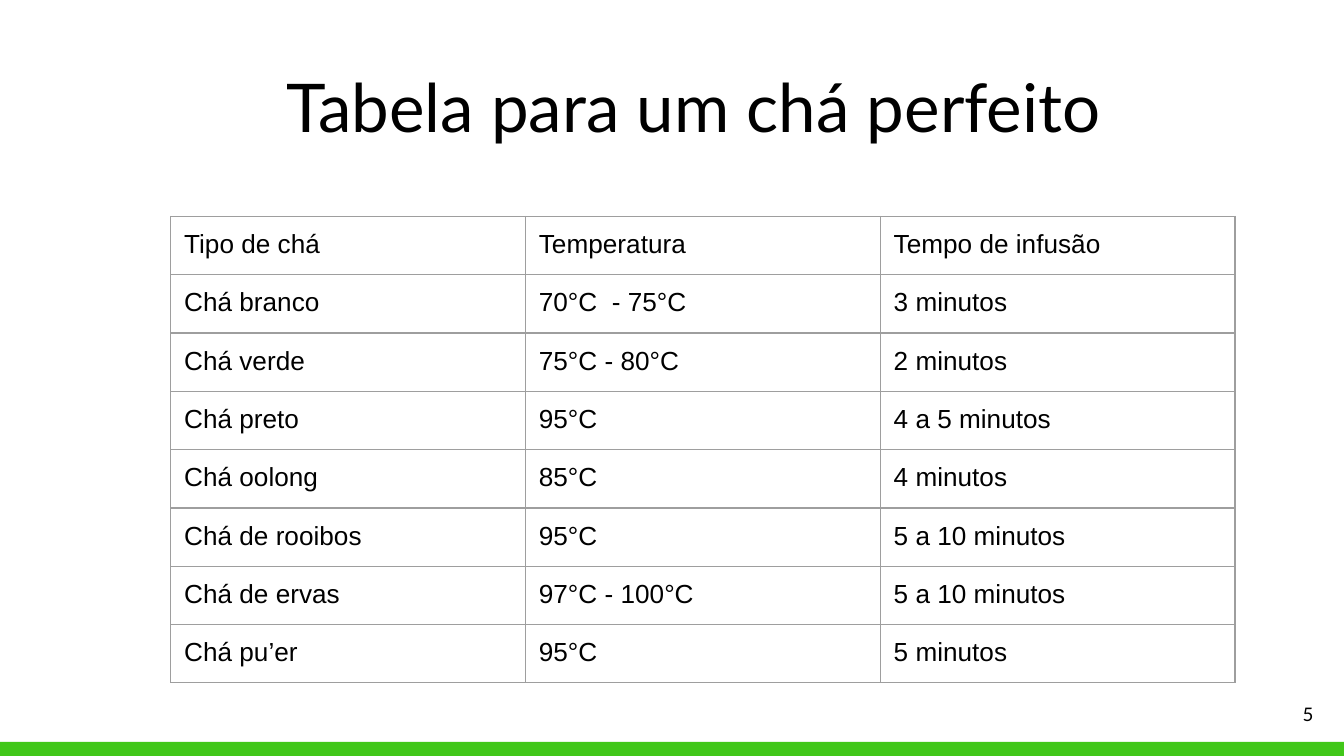
from lxml.etree import SubElement
from pptx import Presentation
from pptx.dml.color import RGBColor
from pptx.enum.shapes import MSO_SHAPE
from pptx.enum.text import MSO_ANCHOR as ANCHOR, PP_ALIGN as ALIGN
from pptx.oxml.ns import qn
from pptx.util import Inches, Pt

BLACK, GREEN, GREY = "000000", "41C719", "9E9E9E"
TEAS = [
    ("Tipo de chá", "Temperatura", "Tempo de infusão"),
    ("Chá branco", "70°C  - 75°C", "3 minutos"),
    ("Chá verde", "75°C - 80°C", "2 minutos"),
    ("Chá preto", "95°C", "4 a 5 minutos"),
    ("Chá oolong", "85°C", "4 minutos"),
    ("Chá de rooibos", "95°C", "5 a 10 minutos"),
    ("Chá de ervas", "97°C - 100°C", "5 a 10 minutos"),
    ("Chá pu’er", "95°C", "5 minutos"),
]
COL_W, ROW_H, FRAME = 2.64, 5 / 12, 3.28


def rgb(value):
    """Turn a hex string into a colour."""
    return RGBColor.from_string(value)


def set_margins(box):
    """Give a text frame or a cell equal insets on all sides."""
    box.margin_left = box.margin_right = Inches(0.1)
    box.margin_top = box.margin_bottom = Inches(0.1)


def write(tf, text, size, font, align, anchor=None):
    """Write one formatted run into a text frame."""
    if anchor is not None:
        set_margins(tf)
        tf.word_wrap = True
        tf.vertical_anchor = anchor
    p = tf.paragraphs[0]
    p.alignment = align
    r = p.add_run()
    r.text = text
    r.font.size = Pt(size)
    r.font.name = font
    r.font.color.rgb = rgb(BLACK)


def add_band(s):
    """Draw the green band along the bottom edge."""
    sp = s.shapes.add_shape(MSO_SHAPE.RECTANGLE, 0, Inches(5.52), Inches(10), Inches(0.11))
    sp.shadow.inherit = False
    sp.fill.solid()
    sp.fill.fore_color.rgb = rgb(GREEN)
    sp.line.fill.background()


def add_title(s, text):
    """Place and fill the title placeholder."""
    sp = s.shapes.title
    sp.left, sp.top, sp.width, sp.height = map(Inches, (1.19, 0.28, 8.07, 0.91))
    write(sp.text_frame, text, 36, "Lato", ALIGN.CENTER, ANCHOR.BOTTOM)


def add_page_number(s, text):
    """Write the page number at the lower right."""
    sp = s.shapes.add_textbox(Inches(9.27), Inches(5.1), Inches(0.6), Inches(0.43))
    write(sp.text_frame, text, 10, "Lato", ALIGN.RIGHT, ANCHOR.MIDDLE)


def set_borders(cell):
    """Draw a thin grey line on every side of a cell."""
    tc_pr = cell._tc.get_or_add_tcPr()
    for side in ("lnL", "lnR", "lnT", "lnB"):
        ln = SubElement(tc_pr, qn("a:" + side), w=str(Pt(0.75)))
        fill = SubElement(ln, qn("a:solidFill"))
        SubElement(fill, qn("a:srgbClr"), val=GREY)


def add_tea_table(s, rows):
    """Add the tea table with a bordered, unfilled grid."""
    frame = s.shapes.add_table(len(rows), len(rows[0]), Inches(1.27), Inches(1.61),
                               Inches(FRAME), Inches(FRAME))
    table = frame.table
    table.first_row = table.horz_banding = False
    for col in table.columns:
        col.width = Inches(COL_W)
    for row, values in zip(table.rows, rows):
        row.height = Inches(ROW_H)
        for cell, text in zip(row.cells, values):
            set_margins(cell)
            set_borders(cell)
            cell.fill.background()
            write(cell.text_frame, text, 14, "Arial", ALIGN.LEFT)
    frame.width = frame.height = Inches(FRAME)


def main():
    """Build and save the slide."""
    prs = Presentation()
    prs.slide_width, prs.slide_height = Inches(10), Inches(10 * 9 / 16)
    s = prs.slides.add_slide(prs.slide_layouts[5])
    add_band(s)
    add_page_number(s, "5")
    add_title(s, "Tabela para um chá perfeito ")
    add_tea_table(s, TEAS)
    prs.save("out.pptx")


if __name__ == "__main__":
    main()
